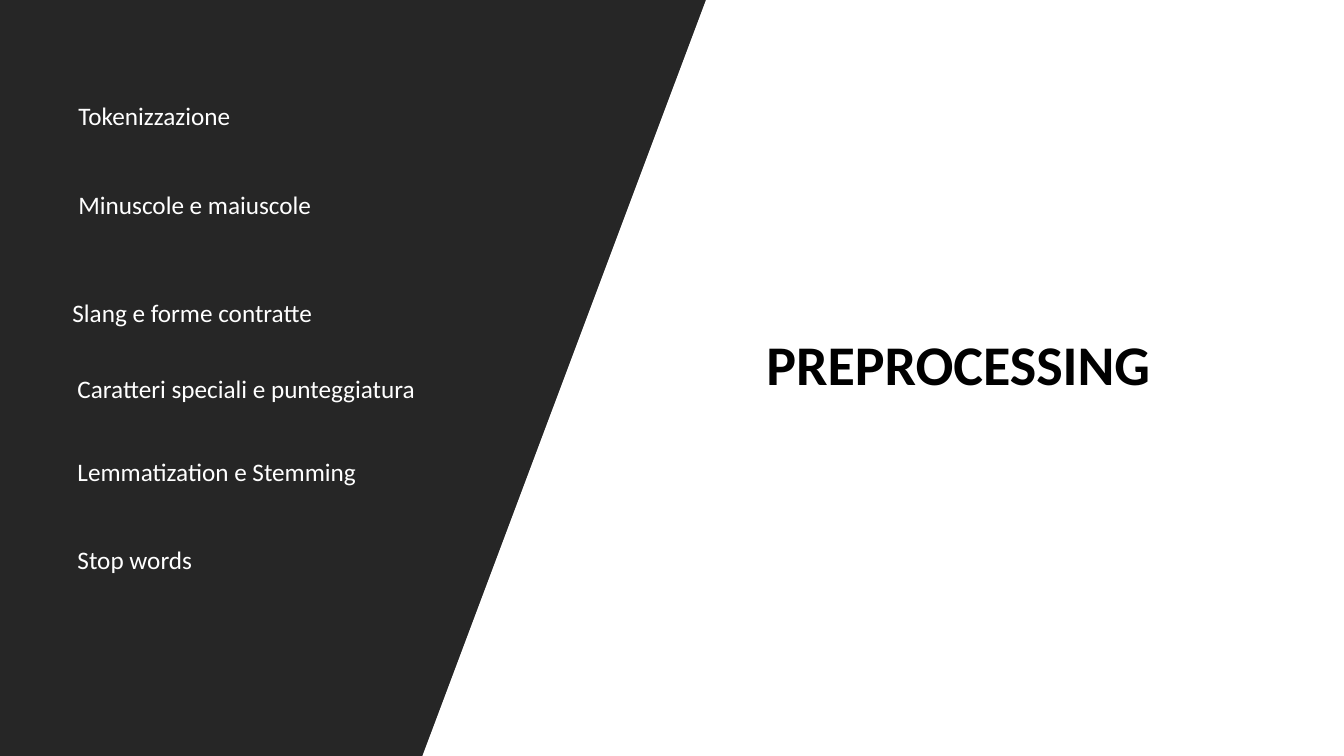
import dataclasses

import lxml.etree
import pptx
import pptx.dml.color
import pptx.enum.shapes
import pptx.enum.text
import pptx.oxml.ns
import pptx.util

Inches = pptx.util.Inches
ALIGN = pptx.enum.text.PP_ALIGN
ANCHOR = pptx.enum.text.MSO_ANCHOR
FIT = pptx.enum.text.MSO_AUTO_SIZE


@dataclasses.dataclass(frozen=True)
class Theme:
    font: str = "Calibri"
    backdrop: str = "000000"
    paper: str = "FFFFFF"
    panel: str = "262626"
    title_color: str = "000000"
    step_color: str = "FFFFFF"
    title_size: int = 40
    step_size: int = 18
    space_after: int = 6
    band_opacity: int = 70


def color(value):
    return pptx.dml.color.RGBColor.from_string(value)


def apply(target, values):
    for name, value in values.items():
        setattr(target, name, value)


class SlideBuilder:
    def __init__(self, deck, theme):
        self.deck = deck
        self.theme = theme
        self.page = deck.slides.add_slide(deck.slide_layouts.get_by_name("Title Only"))
        self.paint(self.page.background.fill, theme.backdrop)

    def paint(self, fill, value):
        fill.solid()
        fill.fore_color.rgb = color(value)

    def finish(self, shape, value):
        shape.shadow.inherit = False
        self.paint(shape.fill, value)
        shape.line.fill.background()
        return shape

    def sheet(self, value):
        kind = pptx.enum.shapes.MSO_SHAPE.RECTANGLE
        shape = self.page.shapes.add_shape(
            kind, 0, 0, self.deck.slide_width, self.deck.slide_height)
        return self.finish(shape, value)

    def slanted_panel(self, top_edge, bottom_edge, opacity=100):
        outline = self.page.shapes.build_freeform(top_edge, 0, scale=Inches(1))
        outline.add_line_segments([(0, 0), (0, 7.5), (bottom_edge, 7.5)], close=True)
        shape = self.finish(outline.convert_to_shape(), self.theme.panel)
        if opacity < 100:
            qn = pptx.oxml.ns.qn
            tone = shape.element.spPr.find(qn("a:solidFill")).find(qn("a:srgbClr"))
            lxml.etree.SubElement(tone, qn("a:alpha"), val=str(opacity * 1000))

    def set_text(self, box, text, frame_format, para_format, font_format):
        apply(box.text_frame, frame_format)
        para = box.text_frame.paragraphs[0]
        apply(para, {"space_after": pptx.util.Pt(self.theme.space_after), **para_format})
        span = para.add_run()
        span.text = text
        font = dict(font_format)
        span.font.color.rgb = color(font.pop("color"))
        apply(span.font, {"name": self.theme.font, **font})

    def title(self, text, left, top, width, height):
        box = self.page.shapes.title
        apply(box, {"left": Inches(left), "top": Inches(top),
                    "width": Inches(width), "height": Inches(height)})
        box.element.getparent().append(box.element)
        self.set_text(
            box, text,
            {"word_wrap": True, "vertical_anchor": ANCHOR.MIDDLE, "auto_size": FIT.NONE},
            {"alignment": ALIGN.CENTER, "line_spacing": 0.9},
            {"size": pptx.util.Pt(self.theme.title_size), "bold": True,
             "color": self.theme.title_color})

    def step(self, text, left, top, width, wrap=False):
        box = self.page.shapes.add_textbox(
            Inches(left), Inches(top), Inches(width), Inches(0.4))
        self.set_text(
            box, text,
            {"word_wrap": wrap, "auto_size": FIT.SHAPE_TO_FIT_TEXT},
            {"alignment": ALIGN.LEFT},
            {"size": pptx.util.Pt(self.theme.step_size), "color": self.theme.step_color})


STEPS = [
    ("Tokenizzazione", 0.68, 0.95, 1.73),
    ("Minuscole e maiuscole", 0.68, 1.83, 2.6),
    ("Slang e forme contratte", 0.62, 2.9, 2.67),
    ("Caratteri speciali e punteggiatura", 0.67, 3.65, 3.9, True),
    ("Lemmatization e Stemming", 0.67, 4.48, 3),
    ("Stop words", 0.67, 5.35, 1.41),
]


def main():
    deck = pptx.Presentation()
    apply(deck, {"slide_width": Inches(13.33), "slide_height": Inches(7.5)})
    theme = Theme()
    builder = SlideBuilder(deck, theme)
    builder.sheet(theme.paper)
    builder.slanted_panel(6.95, 4.02, theme.band_opacity)
    builder.slanted_panel(6.54, 3.61)
    builder.title("PREPROCESSING", 6.6, 0.77, 5.81, 5.74)
    for step in STEPS:
        builder.step(*step)
    deck.save("out.pptx")


if __name__ == "__main__":
    main()
